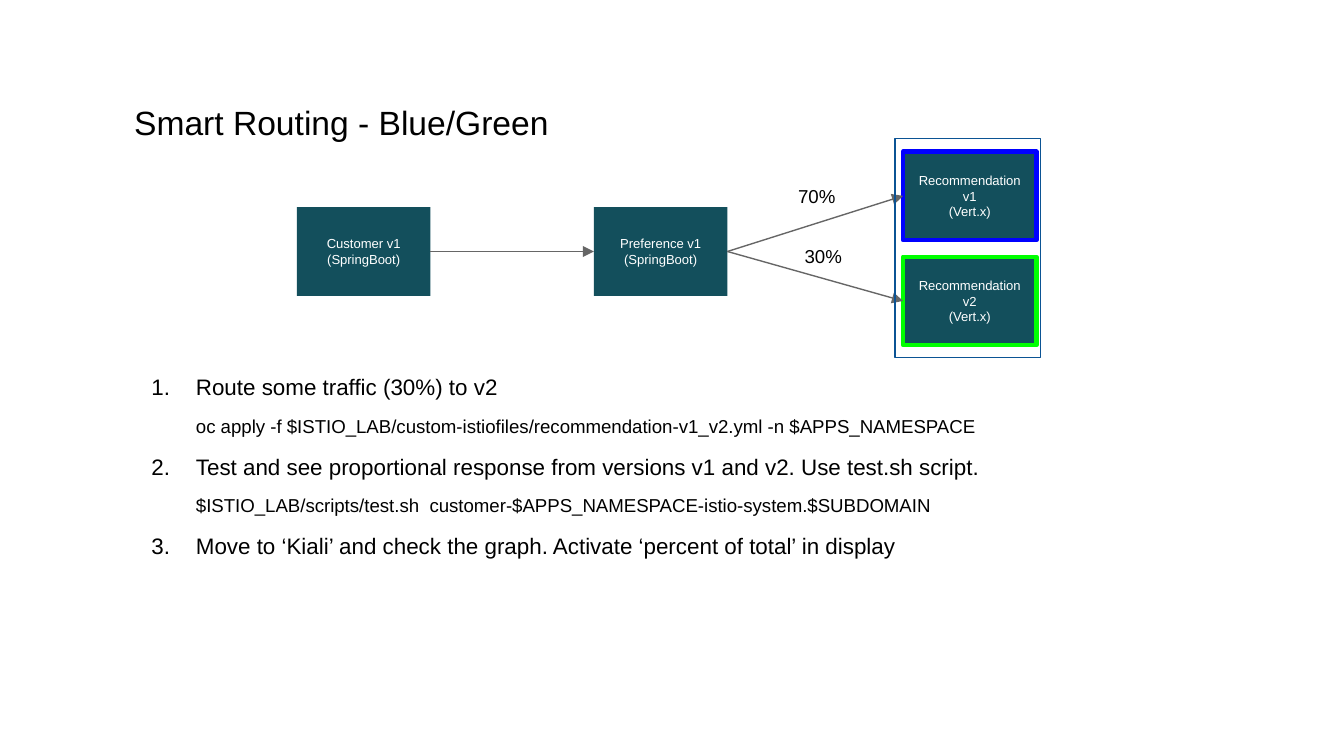
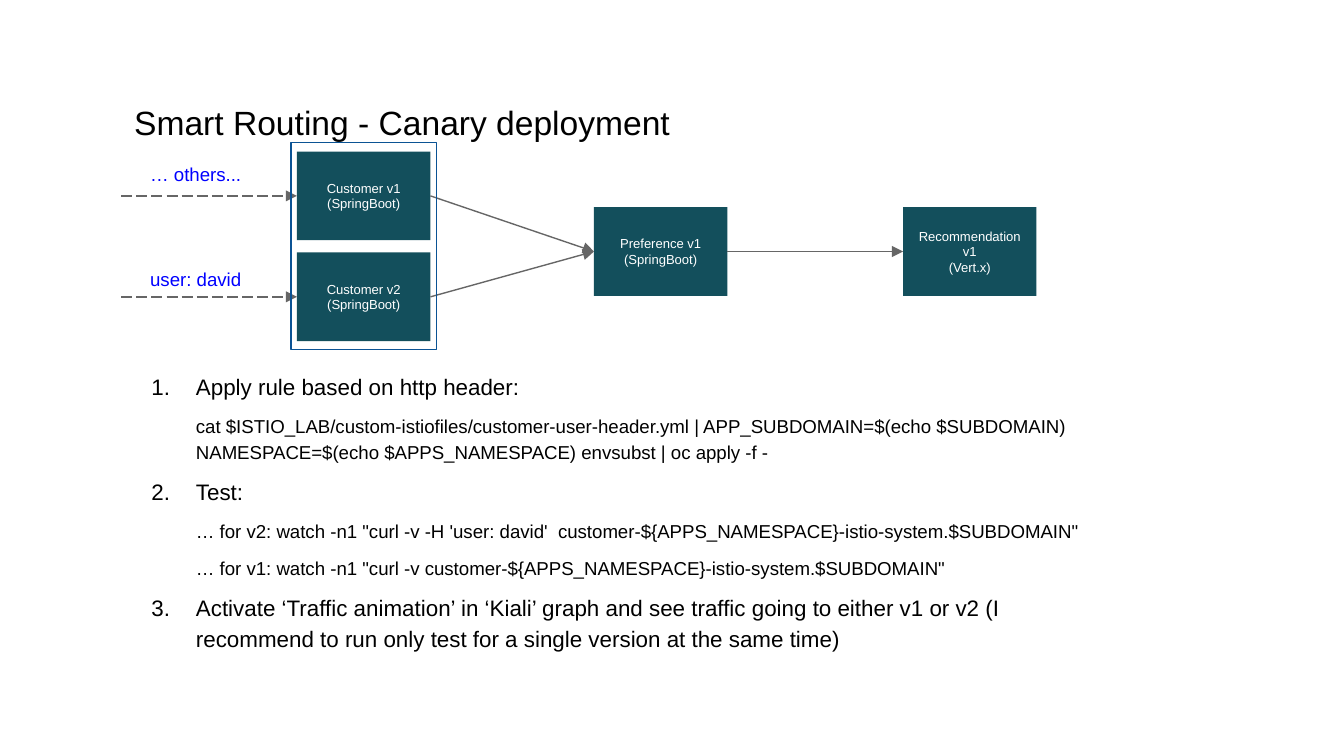
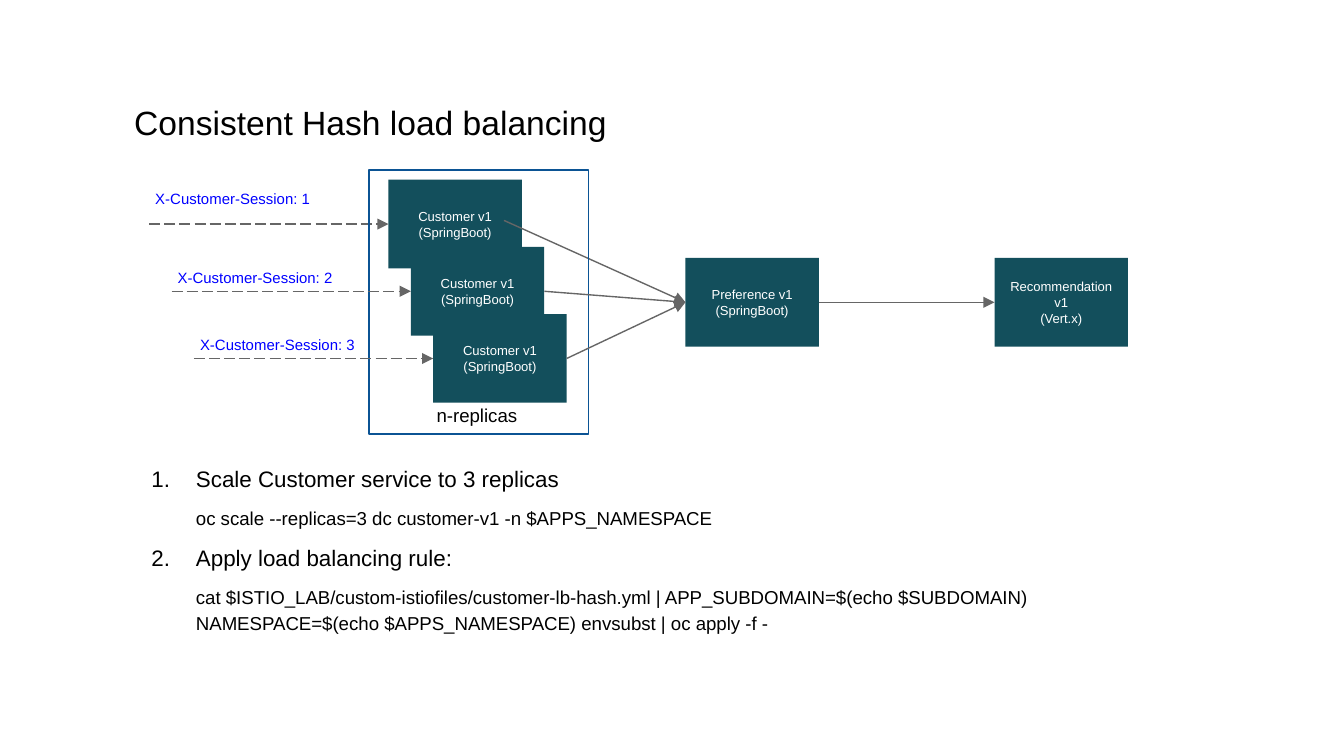
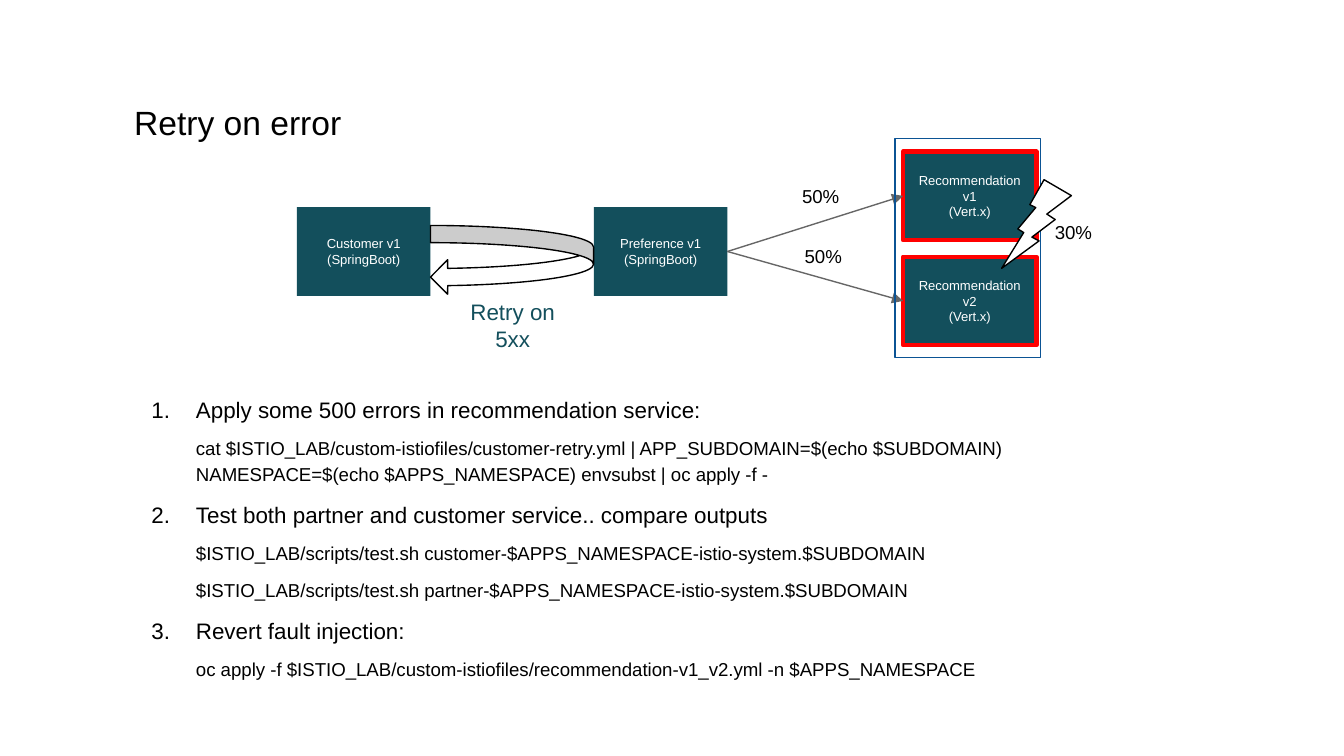
from lxml import etree
from pptx import Presentation
from pptx import util as u
from pptx.dml.color import RGBColor
from pptx.enum import dml, shapes, text
from pptx.oxml import ns

Pt = u.Pt
BLACK = RGBColor(0, 0, 0)
WHITE = RGBColor(255, 255, 255)
TEAL = RGBColor(0x13, 0x4F, 0x5C)
NAVY = RGBColor(0x0B, 0x53, 0x94)
GRAY = RGBColor(0x66, 0x66, 0x66)
BLUE = RGBColor(0, 0, 255)
GREEN = RGBColor(0, 255, 0)
RED = RGBColor(255, 0, 0)
FONT = "Arial"

# Service boxes: shared size, columns and rows
WIDE, HIGH = 71.5, 47.5
CUST, PREF, REC = 159.1, 318.2, 483.8
TOP, MID = 81.2, 111
SHIFT, STEP = 49, 12
DEEP = 138.2

# Names of the services
C1 = ("Customer v1", "(SpringBoot)")
C2 = ("Customer v2", "(SpringBoot)")
P1 = ("Preference v1", "(SpringBoot)")
R1 = ("Recommendation v1", "(Vert.x)")
R2 = ("Recommendation v2", "(Vert.x)")


def split(rings, shares, left):
    """Preference service sharing its traffic between two versions."""
    return [
        ("box", "pref", P1, PREF, MID),
        ("box", "rec1", R1, REC, TOP, rings[0]),
        ("box", "rec2", R2, REC, 137.5, rings[1]),
        ("box", "cust", C1, CUST, MID),
        ("link", "pref", "rec1"),
        ("link", "pref", "rec2"),
        ("note", shares[:1], left, 92.9, 44, 21),
        ("note", shares[1:], 424, 125.3, 44, 21),
        ("frame", 479.5, 74.2, 78, 117.2),
    ]


def session(num, left, top):
    """One customer replica with its incoming session."""
    key = f"cust{num}"
    return [
        ("box", key, C1, left, top),
        ("enter", key, 128.2),
        ("note", [f"X-Customer-Session: {num}"], left - 132, top + (0.7 if num == 1 else 7 - 0.1),
         122.4, 36.7, BLUE, 8),
    ]


# Steps: (heading, command lines)
SLIDES = [
    dict(
        title="Smart Routing - Blue/Green", top=190.8,
        steps=[
            ("Route some traffic (30%) to v2",
             ["oc apply -f $ISTIO_LAB/custom-istiofiles/recommendation-v1_v2.yml -n $APPS_NAMESPACE"]),
            ("Test and see proportional response from versions v1 and v2. Use test.sh script.",
             ["$ISTIO_LAB/scripts/test.sh  customer-$APPS_NAMESPACE-istio-system.$SUBDOMAIN"]),
            ("Move to ‘Kiali’ and check the graph. Activate ‘percent of total’ in display", []),
        ],
        parts=[*split((BLUE, GREEN), ["70%", "30%"], 420.5),
               ("link", "cust", "pref")],
    ),
    dict(
        title="Smart Routing - Canary deployment", top=190.8,
        steps=[
            ("Apply rule based on http header:",
             ["cat $ISTIO_LAB/custom-istiofiles/customer-user-header.yml | APP_SUBDOMAIN=$(echo $SUBDOMAIN) "
              "NAMESPACE=$(echo $APPS_NAMESPACE) envsubst | oc apply -f -"]),
            ("Test:",
             ["… for v2: watch -n1 \"curl -v -H 'user: david'  "
              "customer-${APPS_NAMESPACE}-istio-system.$SUBDOMAIN\"",
              "… for v1: watch -n1 \"curl -v customer-${APPS_NAMESPACE}-istio-system.$SUBDOMAIN\""]),
            ("Activate ‘Traffic animation’ in ‘Kiali’ graph and see traffic going to either v1 or v2 "
             "(I recommend to run only test for a single version at the same time)", []),
        ],
        parts=[
            ("box", "pref", P1, PREF, MID),
            ("box", "rec", R1, REC, MID),
            ("box", "cust1", C1, CUST, TOP),
            ("box", "cust2", C2, CUST, 135.3),
            ("link", "cust1", "pref"),
            ("link", "pref", "rec"),
            ("link", "cust2", "pref"),
            ("enter", "cust2", 94.2),
            ("enter", "cust1", 94.2),
            ("note", ["user: david"], 73.4, 137.5, 84.2, 36.7, BLUE),
            ("note", ["… others..."], 73.4, 81.2, 84.2, 36.7, BLUE),
            ("frame", 156, 76.3, 78, 110.9),
        ],
    ),
    dict(
        title="Consistent Hash load balancing", top=239.8,
        steps=[
            ("Scale Customer service to 3 replicas",
             ["oc scale --replicas=3 dc customer-v1 -n $APPS_NAMESPACE"]),
            ("Apply load balancing rule:",
             ["cat $ISTIO_LAB/custom-istiofiles/customer-lb-hash.yml | APP_SUBDOMAIN=$(echo $SUBDOMAIN) "
              "NAMESPACE=$(echo $APPS_NAMESPACE) envsubst | oc apply -f -"]),
        ],
        parts=[
            ("box", "pref", P1, PREF + SHIFT, DEEP),
            ("box", "rec", R1, REC + SHIFT, DEEP),
            *session(1, CUST + SHIFT, 96.3),
            ("line", 270, 118.1, PREF + SHIFT, DEEP + HIGH / 2),
            ("link", "pref", "rec"),
            ("frame", 197.7, 91, 117.6, 141.6),
            *session(2, CUST + SHIFT + STEP, 132.3),
            *session(3, CUST + SHIFT + 2 * STEP, 168.3),
            ("note", ["n-replicas"], 226.8, 210.2, 76.3, 32.4),
            ("link", "cust2", "pref"),
            ("link", "cust3", "pref"),
        ],
    ),
    dict(
        title="Retry on error", top=202.7,
        steps=[
            ("Apply some 500 errors in recommendation service:",
             ["cat $ISTIO_LAB/custom-istiofiles/customer-retry.yml | APP_SUBDOMAIN=$(echo $SUBDOMAIN) "
              "NAMESPACE=$(echo $APPS_NAMESPACE) envsubst | oc apply -f -"]),
            ("Test both partner and customer service.. compare outputs",
             ["$ISTIO_LAB/scripts/test.sh customer-$APPS_NAMESPACE-istio-system.$SUBDOMAIN",
              "$ISTIO_LAB/scripts/test.sh partner-$APPS_NAMESPACE-istio-system.$SUBDOMAIN"]),
            ("Revert fault injection:",
             ["oc apply -f $ISTIO_LAB/custom-istiofiles/recommendation-v1_v2.yml -n $APPS_NAMESPACE"]),
        ],
        parts=[
            *split((RED, RED), ["50%", "50%"], 422.6),
            ("sign", shapes.MSO_SHAPE.LIGHTNING_BOLT, 536.6, 96.3, 37.4, HIGH, True),
            ("note", ["30%"], 558, 112.3, 44, 21),
            ("sign", shapes.MSO_SHAPE.CURVED_LEFT_ARROW, 230.6, 120.8, 87.4, 36.9),
            ("note", ["Retry on", "5xx"], 221.8, 152.6, 105.8, 43.2, TEAL, 12,
             text.PP_ALIGN.CENTER),
        ],
    ),
]


# Text
def write(para, words, size, ink=BLACK):
    run = para.add_run()
    run.text = words
    run.font.name, run.font.size = FONT, Pt(size)
    run.font.color.rgb = ink


def fill(frame, lines, size, ink, align, anchor):
    frame.word_wrap = True
    frame.vertical_anchor = anchor
    frame.margin_left = frame.margin_right = Pt(7.2)
    frame.margin_top = frame.margin_bottom = Pt(7.2)
    for i, words in enumerate(lines):
        para = frame.add_paragraph() if i else frame.paragraphs[0]
        para.alignment = align
        write(para, words, size, ink)


def number(props, start):
    tint = etree.SubElement(props, ns.qn("a:buClr"))
    etree.SubElement(tint, ns.qn("a:srgbClr"), val=str(BLACK))
    etree.SubElement(props, ns.qn("a:buFont"), typeface=FONT)
    etree.SubElement(props, ns.qn("a:buAutoNum"), type="arabicPeriod", startAt=str(start))


class Page:
    def __init__(self, slide):
        self.items = slide.shapes
        self.boxes = {}

    # Shapes
    def shape(self, kind, x, y, w, h, back=None, edge=None, thick=0.75):
        item = self.items.add_shape(kind, Pt(x), Pt(y), Pt(w), Pt(h))
        item.shadow.inherit = False
        if back is None:
            item.fill.background()
        else:
            item.fill.solid()
            item.fill.fore_color.rgb = back
        if edge is None:
            item.line.fill.background()
        else:
            item.line.color.rgb = edge
            item.line.width = Pt(thick)
        return item

    def box(self, key, lines, x, y, ring=None):
        item = self.shape(shapes.MSO_SHAPE.RECTANGLE, x, y, WIDE, HIGH, TEAL, ring, 2.25)
        fill(item.text_frame, lines, 7, WHITE, text.PP_ALIGN.CENTER, text.MSO_ANCHOR.MIDDLE)
        self.boxes[key] = item

    def frame(self, x, y, w, h):
        self.shape(shapes.MSO_SHAPE.RECTANGLE, x, y, w, h, None, NAVY)

    def sign(self, kind, x, y, w, h, flip=False):
        item = self.shape(kind, x, y, w, h, WHITE, BLACK)
        if flip:
            item._element.spPr.find(ns.qn("a:xfrm")).set("flipH", "1")

    def note(self, lines, x, y, w, h, ink=BLACK, size=10,
             align=text.PP_ALIGN.LEFT, anchor=text.MSO_ANCHOR.TOP):
        item = self.items.add_textbox(Pt(x), Pt(y), Pt(w), Pt(h))
        fill(item.text_frame, lines, size, ink, align, anchor)

    # Arrows
    def line(self, x1, y1, x2, y2, dash=False):
        item = self.items.add_connector(
            shapes.MSO_CONNECTOR.STRAIGHT, Pt(x1), Pt(y1), Pt(x2), Pt(y2))
        item.line.color.rgb = GRAY
        item.line.width = Pt(0.75)
        if dash:
            item.line.dash_style = dml.MSO_LINE.LONG_DASH
        props = item._element.spPr
        etree.SubElement(props.find(ns.qn("a:ln")), ns.qn("a:tailEnd"), type="triangle")
        etree.SubElement(props, ns.qn("a:effectLst"))
        return item

    def link(self, start, end):
        item = self.line(0, 0, 0, 0)
        item.begin_connect(self.boxes[start], 3)
        item.end_connect(self.boxes[end], 1)

    def enter(self, key, long):
        box = self.boxes[key]
        x, y = box.left.pt, box.top.pt + HIGH / 2
        self.line(x - long, y, x, y, True).end_connect(box, 1)

    # Numbered steps with their commands
    def guide(self, steps, top):
        item = self.items.add_textbox(Pt(61.9), Pt(top), Pt(532), Pt(366.5 - top))
        fill(item.text_frame, [], 12, BLACK, None, text.MSO_ANCHOR.TOP)
        for i, (head, codes) in enumerate(steps):
            for j, words in enumerate([head, *codes]):
                first = i == j == 0
                para = item.text_frame.paragraphs[0] if first else item.text_frame.add_paragraph()
                props = para._p.get_or_add_pPr()
                props.set("marL", str(Pt(36)))
                props.set("indent", str(Pt(0 if j else -23.8)))
                if j == 0:
                    number(props, i + 1)
                para.line_spacing = 1.15
                para.space_before = Pt(0 if first else 6)
                write(para, words, 10 if j else 12)


def main():
    deck = Presentation()
    deck.slide_width, deck.slide_height = Pt(720), Pt(405)
    for plan in SLIDES:
        page = Page(deck.slides.add_slide(deck.slide_layouts[6]))
        page.note([plan["title"]], 64.8, 0, 589.7, 83.5, size=18,
                  anchor=text.MSO_ANCHOR.BOTTOM)
        page.guide(plan["steps"], plan["top"])
        draw = dict(box=page.box, frame=page.frame, sign=page.sign, note=page.note,
                    line=page.line, link=page.link, enter=page.enter)
        for kind, *args in plan["parts"]:
            draw[kind](*args)
    deck.save("out.pptx")


if __name__ == "__main__":
    main()
